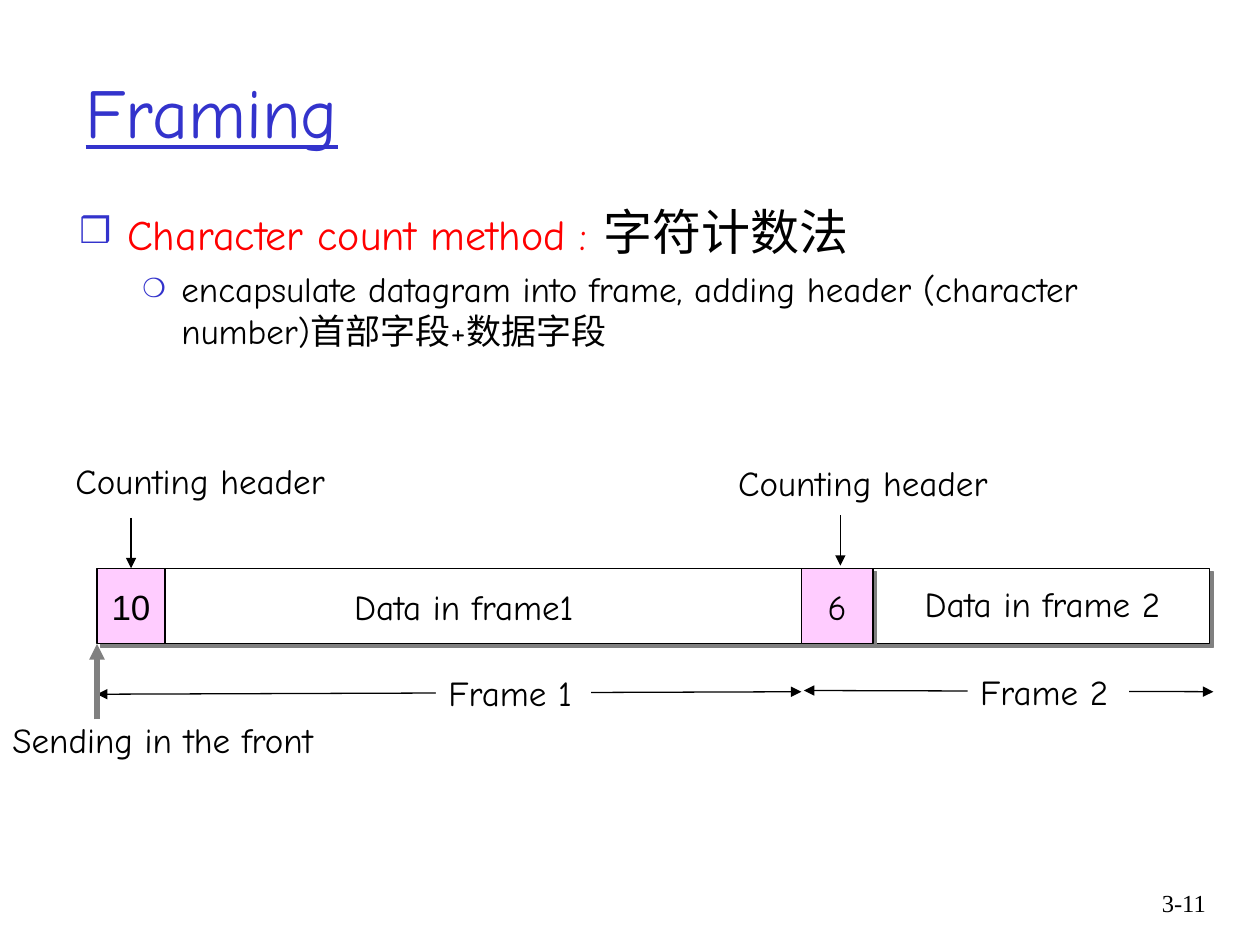
from lxml import etree
from pptx import Presentation
from pptx.dml.color import RGBColor
from pptx.enum import shapes, text
from pptx.oxml import ns
from pptx.util import Inches, Pt

hue = RGBColor.from_string
FONT = "Comic Neue"
A = f'xmlns:a="{ns.nsuri("a")}"'
SHADE = (f'<a:effectLst {A}><a:outerShdw dist="35560" dir="2700000" algn="ctr" rotWithShape="0">'
         '<a:srgbClr val="808080"/></a:outerShdw></a:effectLst>')

deck = Presentation()
deck.slide_width, deck.slide_height = Inches(10), Inches(7.5)
slide = deck.slides.add_slide(deck.slide_layouts[1])


def box(place, words, fill=None, cell=False, font=FONT, size=20, align="LEFT", inset=0.1):
    area = [Inches(v) for v in place]
    if fill:
        item = slide.shapes.add_shape(shapes.MSO_SHAPE.RECTANGLE, *area)
        item.shadow.inherit = False
        item.fill.solid()
        item.fill.fore_color.rgb = hue(fill)
        item.line.fill.background()
    else:
        item = slide.shapes.add_textbox(*area)
    frame = item.text_frame
    frame.text = words
    frame.word_wrap = cell
    frame.margin_left = Inches(inset)
    frame.vertical_anchor = text.MSO_ANCHOR.TOP
    if cell:
        item.line.color.rgb = hue("000000")
        item.line.width = Pt(0.75)
        props = item._element.spPr
        props.remove(props.find(ns.qn("a:effectLst")))
        props.append(etree.fromstring(SHADE))
        frame.vertical_anchor = text.MSO_ANCHOR.MIDDLE
    para = frame.paragraphs[0]
    para.alignment = text.PP_ALIGN[align]
    para.font.name, para.font.size = font, Pt(size)
    para.font.color.rgb = hue("000000")
    return item


def arrow(start, end, ends=("tailEnd",), color="000000", width=0.75):
    item = slide.shapes.add_connector(
        shapes.MSO_CONNECTOR.STRAIGHT, *[Inches(v) for v in start + end])
    item.line.color.rgb = hue(color)
    item.line.width = Pt(width)
    for end_tag in ends:
        etree.SubElement(item.line._get_or_add_ln(), ns.qn("a:" + end_tag), type="triangle")
    etree.SubElement(item._element.spPr, ns.qn("a:effectLst"))
    return item


box((8.93, 7, 0.74, 0.5), "3-11", font="Times New Roman", size=14, align="RIGHT")

title = slide.shapes.title
title.left, title.top, title.width, title.height = [Inches(v) for v in (0.58, 0.25, 8.5, 1.25)]
title.text_frame.text = "Framing"
title.text_frame.vertical_anchor = text.MSO_ANCHOR.MIDDLE
para = title.text_frame.paragraphs[0]
para.alignment = text.PP_ALIGN.LEFT
run = para.runs[0]
run.font.name, run.font.size, run.font.underline = FONT, Pt(40), True
run.font.color.rgb = hue("3333CC")

body = slide.placeholders[1]
body.left, body.top, body.width, body.height = [Inches(v) for v in (0.53, 1.55, 8.5, 5.08)]
items = [
    (0.38, 0.38, "❒", 85, 0, [("Character count method :", 24, "FF0000"),
                              (" 字符计数法", 28, "000000")]),
    (0.81, 0.31, "❍", 75, 4, [("encapsulate datagram into frame, adding header "
                               "(character number)首部字段+数据字段", 20, "000000")]),
]
for level, (left, hang, mark, scale, gap, parts) in enumerate(items):
    para = body.text_frame.paragraphs[0] if level == 0 else body.text_frame.add_paragraph()
    para.level = level
    para.space_before = Pt(gap)
    props = para._p.get_or_add_pPr()
    props.set("marL", str(Inches(left)))
    props.set("indent", str(-Inches(hang)))
    for bullet in (f'<a:buClr {A}><a:srgbClr val="3333CC"/></a:buClr>',
                   f'<a:buSzPct {A} val="{scale}000"/>',
                   f'<a:buChar {A} char="{mark}"/>'):
        props.append(etree.fromstring(bullet))
    for words, size, color in parts:
        run = para.add_run()
        run.text = words
        run.font.name, run.font.size = FONT, Pt(size)
        run.font.color.rgb = hue(color)

TOP, HIGH = 4.51, 0.6
BOTH = ("headEnd", "tailEnd")
count = box((0.77, TOP, 0.54, HIGH), "10", "FFCCFF", True, "Arial", align="CENTER", inset=0.1)
box((1.31, TOP, 8.29, HIGH), "Data in frame1", "FFFFFF", True, inset=1.5)
arrow((0.77, 5.51), (6.36, 5.49), BOTH)
box((3.46, 5.28, 1.23, 0.44), "Frame 1", "FFFFFF")
arrow((1.04, 4.11), (1.04, TOP)).end_connect(count, 0)
for left, top in ((0.5, 3.6), (5.76, 3.61)):
    box((left, top, 2.31, 0.44), "Counting header")
arrow((6.67, 4.09), (6.67, 4.49))
arrow((0.77, 5.71), (0.77, TOP + HIGH), color="808080", width=3)
box((0, 5.65, 2.87, 0.44), "Sending in the front")
box((6.36, TOP, 0.57, HIGH), "6", "FFCCFF", True, align="CENTER")
arrow((6.38, 5.48), (9.63, 5.49), BOTH)
box((7.68, 5.27, 1.28, 0.44), "Frame 2", "FFFFFF")
box((7.24, 4.57, 2.27, 0.44), "Data in frame 2", "FFFFFF")

deck.save("out.pptx")
